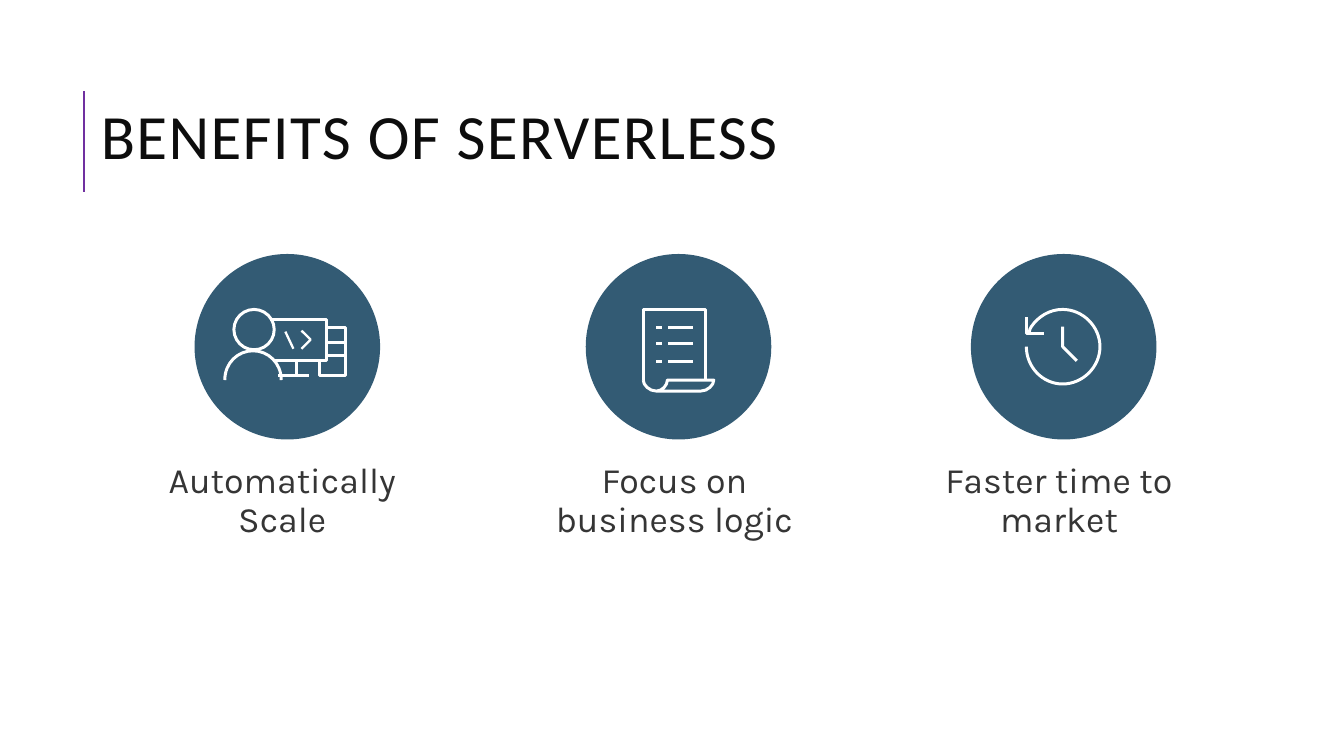
from pptx import Presentation
from pptx.dml.color import RGBColor as Rgb
from pptx.enum.shapes import MSO_CONNECTOR as Conn, MSO_SHAPE as Kind
from pptx.enum.text import MSO_ANCHOR as Anchor, MSO_AUTO_SIZE as Fit, PP_ALIGN as Align
from pptx.oxml.ns import qn
from pptx.util import Inches, Pt
from lxml.etree import SubElement

# Content
TITLE = "BENEFITS OF SERVERLESS"
COLORS = {"ink": "0D0D0D", "text": "353535", "disc": "335B74",
          "icon": "FFFFFF", "rule": "7030A0"}
BOLD, THIN = 2.13, 1.63

# Icon strokes: hundredths of an inch from the disc centre.
# A pair is a corner; three pairs are one curve (two handles and its end).
CODER = [
    (BOLD, [(-6, 33), ((-6, 16), (-19, 4), (-34, 4)),
            ((-49, 4), (-62, 16), (-62, 33))]),
    (BOLD, [(-12, 14), (39, 14), (39, -27), (-17, -27)]),
    (BOLD, [(9, 29), (9, 14)]),
    (BOLD, [(39, -19), (58, -19), (58, 29), (32, 29), (32, 14)]),
    (BOLD, [(21, 29), (-9, 29)]),
    (BOLD, [(58, -4), (39, -4)]),
    (BOLD, [(58, 9), (39, 9)]),
    (THIN, [(-2, -15), (6, 2)]),
    (THIN, [(14, -16), (23, -7), (14, 2)]),
]
SCROLL = [
    (BOLD, [(-35, 33), ((-35, 38), (-29, 44), (-22, 44)),
            ((-16, 44), (-11, 38), (-11, 33)), (35, 33),
            ((35, 38), (29, 44), (22, 44)), (-22, 44)]),
    (BOLD, [(-35, 33), (-35, -37), (27, -37), (27, 33)]),
] + [(BOLD, [(a, y), (b, y)])
     for a, b in ((-10, 14), (-22, -16)) for y in (-19, -3, 15)]
CLOCK = [
    (BOLD, [(-35, -14), ((-35, -14), (-34, -14), (-34, -15)),
            ((-34, -17), (-33, -18), (-32, -20)),
            ((-25, -30), (-14, -37), (-1, -37)),
            ((19, -37), (36, -20), (36, 0)),
            ((36, 20), (19, 37), (-1, 37)),
            ((-21, 37), (-37, 20), (-37, 0))]),
    (BOLD, [(-1, -20), (-1, 0), (13, 14)]),
    (BOLD, [(-20, -13), (-37, -13), (-37, -29)]),
]
HEAD = (-33, -17, 20)       # centre and radius

# Caption, its left and width, disc centre, rings, strokes
ITEMS = [
    ("Focus on business logic", 5.28, 2.92, 6.73, [], SCROLL),
    ("Faster time to market", 9.21, 2.69, 10.55, [], CLOCK),
    ("Automatically Scale", 1.44, 2.82, 2.85, [HEAD], CODER),
]
MID, RADIUS = 3.44, 0.92    # disc centre height and radius
CAP_TOP, CAP_HIGH = 4.43, 1.1


def color(name):
    return Rgb.from_string(COLORS[name])


def write(para, text, size, face, tint):
    run = para.add_run()
    run.text = text
    run.font.size, run.font.name = Pt(size), face
    run.font.color.rgb = color(tint)
    return run


def line(shapes, start, end, tint, width):
    link = shapes.add_connector(Conn.STRAIGHT, *map(Inches, start + end))
    link.line.color.rgb, link.line.width = color(tint), Pt(width)
    SubElement(link._element.spPr, qn("a:effectLst"))


def outline(shape, width):
    shape.fill.background()
    shape.line.color.rgb, shape.line.width = color("icon"), Pt(width)
    shape.shadow.inherit = False


def circle(shapes, x, y, radius):
    size = Inches(2 * radius)
    shape = shapes.add_shape(Kind.OVAL, Inches(x - radius), Inches(y - radius), size, size)
    shape.shadow.inherit = False
    return shape


def stroke(shapes, mid, parts, width):
    def place(spot):
        return mid + spot[0] / 100, MID + spot[1] / 100

    if len(parts) == 2:
        return line(shapes, *map(place, parts), "icon", width)
    first, *rest = parts
    spots = []
    for part in rest:
        spots += part if len(part) == 3 else [part]
    pen = shapes.build_freeform(*map(Inches, place(first)))
    pen.add_line_segments([tuple(map(Inches, place(s))) for s in spots], close=False)
    shape = pen.convert_to_shape()
    # Join each three segments of a curve into one Bézier
    steps = iter(list(shape._element.iter(qn("a:lnTo"))))
    for part in rest:
        step = next(steps)
        if len(part) == 3:
            step.addprevious(curve := step.makeelement(qn("a:cubicBezTo")))
            for seg in (step, next(steps), next(steps)):
                curve.append(seg[0])
                seg.getparent().remove(seg)
    outline(shape, width)


def caption(shapes, text, left, width):
    box = shapes.add_textbox(*map(Inches, (left, CAP_TOP, width, CAP_HIGH)))
    frame = box.text_frame
    frame.word_wrap, frame.auto_size = True, Fit.SHAPE_TO_FIT_TEXT
    frame.margin_left, frame.margin_right = Inches(0.1), Inches(0.2)
    frame.margin_top = frame.margin_bottom = Inches(0.16)
    para = frame.paragraphs[0]
    para.alignment, para.line_spacing, para.space_after = Align.CENTER, 0.9, Pt(12)
    write(para, text, 25.5, "Karla", "text")


def badge(shapes, mid, rings, strokes):
    group = shapes.add_group_shape().shapes
    disc = circle(group, mid, MID, RADIUS)
    disc.fill.solid()
    disc.fill.fore_color.rgb = color("disc")
    disc.line.fill.background()
    for x, y, radius in rings:
        outline(circle(group, mid + x / 100, MID + y / 100, radius / 100), BOLD)
    for width, parts in strokes:
        stroke(group, mid, parts, width)


def heading(title):
    title.left, title.top, title.width, title.height = map(
        Inches, (0.9, 1.28, 12.75, 0.98))
    frame = title.text_frame
    frame.vertical_anchor, frame.auto_size = Anchor.MIDDLE, Fit.NONE
    frame.word_wrap = True
    para = frame.paragraphs[0]
    para.alignment, para.line_spacing = Align.LEFT, 0.8
    run = write(para, TITLE, 45, "Calibri", "ink")
    run._r.get_or_add_rPr().set("spc", "100")
    para.add_line_break()


def main():
    deck = Presentation()
    deck.slide_width, deck.slide_height = Inches(13.33), Inches(7.5)
    slide = deck.slides.add_slide(deck.slide_layouts[5])
    shapes = slide.shapes

    # Title and its rule
    heading(shapes.title)
    line(shapes, (0.83, 1.9), (0.83, 0.9), "rule", 1.5)

    # Three benefits
    for text, left, width, mid, rings, strokes in ITEMS:
        caption(shapes, text, left, width)
        badge(shapes, mid, rings, strokes)

    deck.save("out.pptx")


if __name__ == "__main__":
    main()
